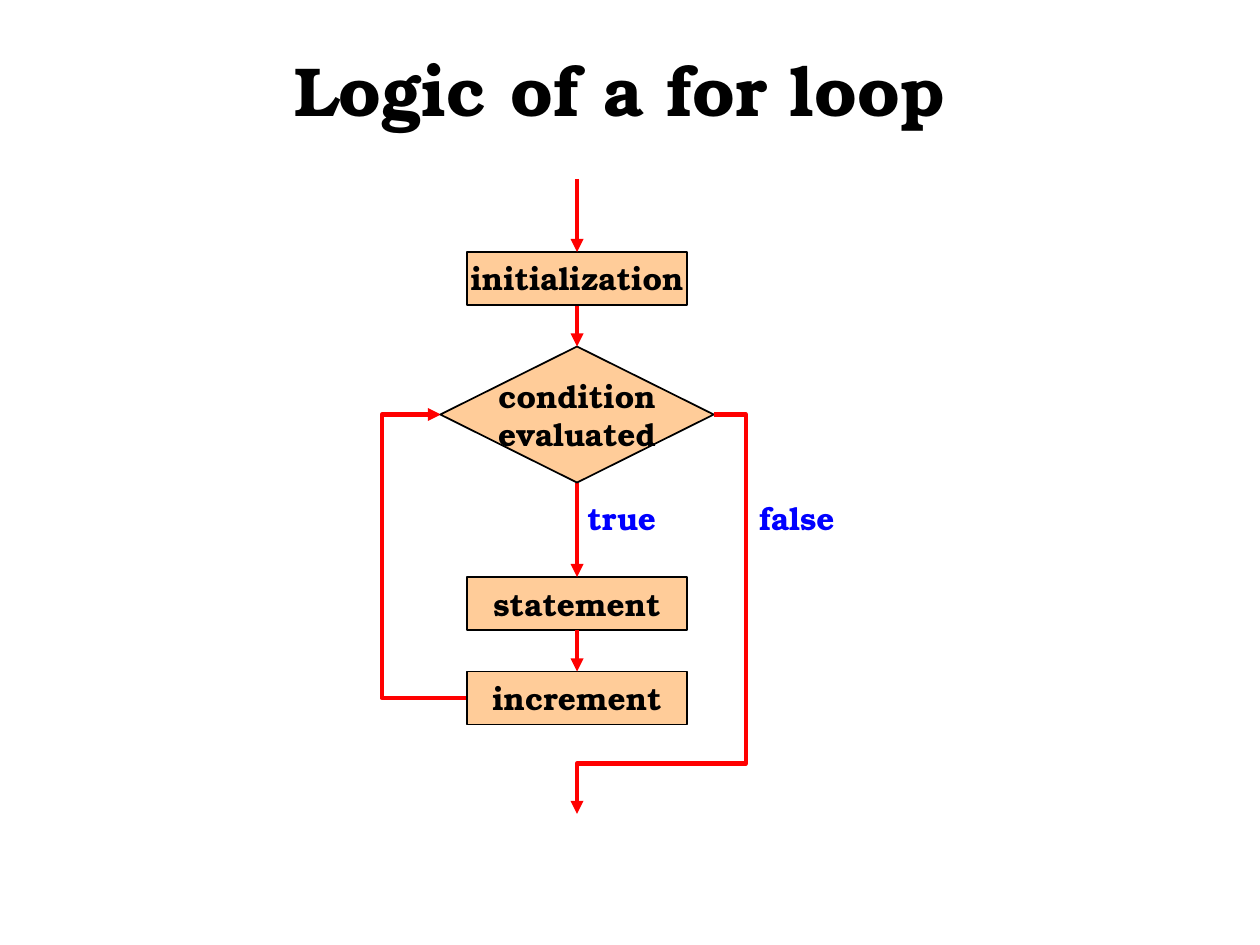
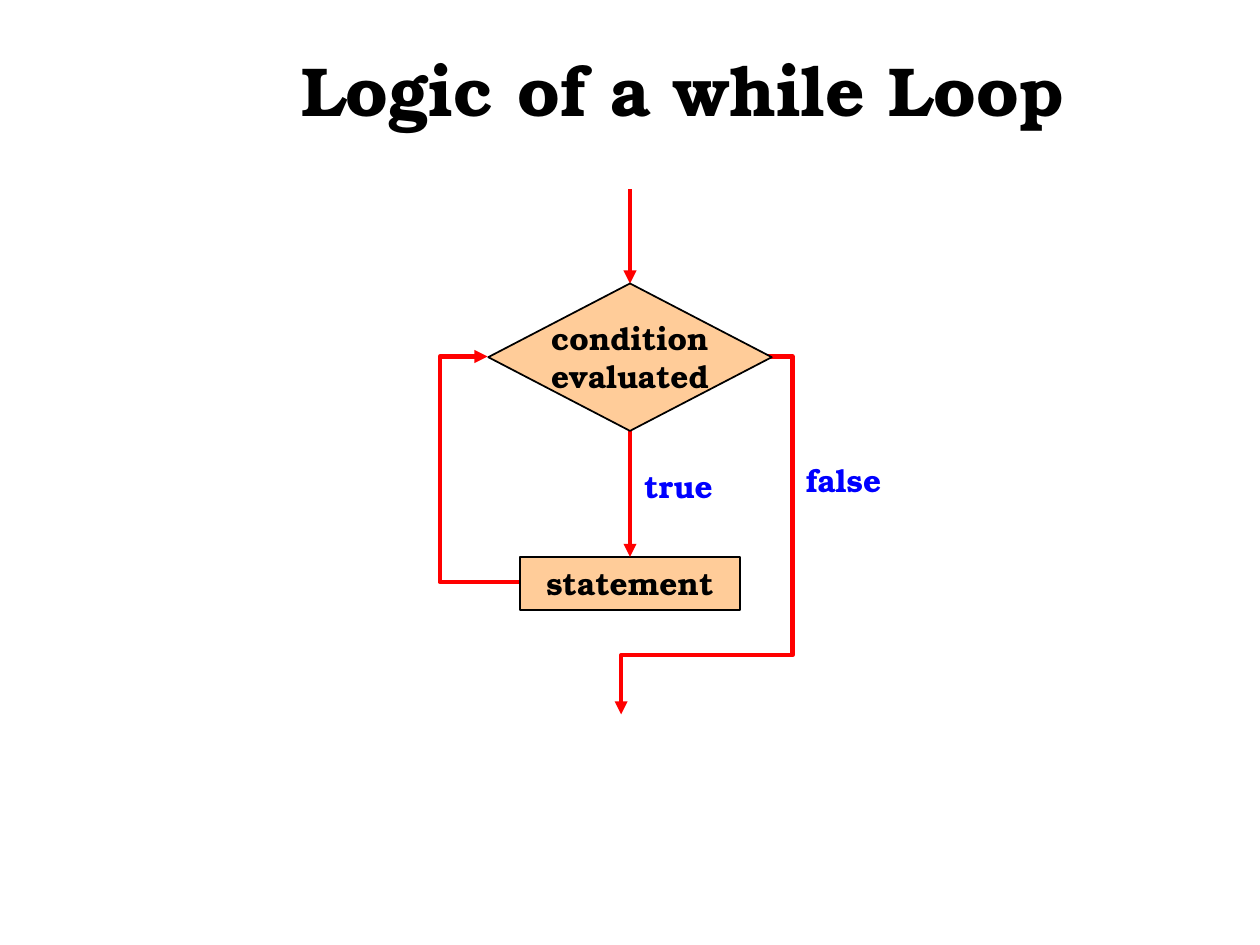
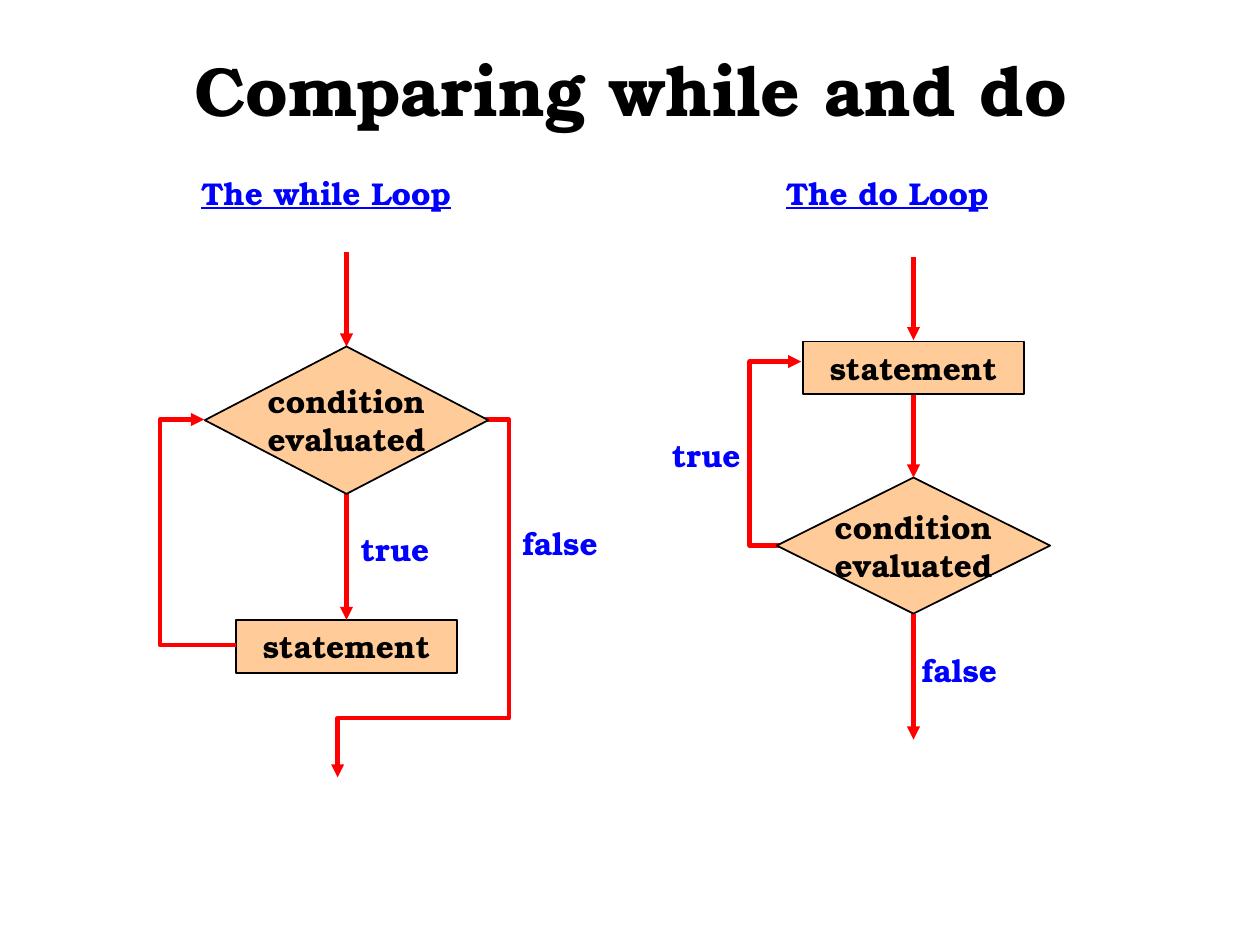
from lxml.etree import SubElement
from pptx import Presentation
from pptx.dml.color import RGBColor
from pptx.enum.shapes import MSO_CONNECTOR, MSO_SHAPE
from pptx.enum.text import MSO_ANCHOR, MSO_AUTO_SIZE, PP_ALIGN
from pptx.oxml.ns import qn
from pptx.util import Inches, Pt

FACE = "TeX Gyre Bonum"
BLACK, BLUE, RED, PEACH = "000000", "0000FF", "FF0000", "FFCC99"
WIDE = {
    "statement": 1.55, "increment": 1.56, "initialization": 1.91,
    "true": 0.75, "false": 0.81, "condition\nevaluated": 1.47,
    "The while Loop": 2.2, "The do Loop": 1.82,
}


def color(code):
    return RGBColor.from_string(code)


def style(run, size, code):
    run.font.name = FACE
    run.font.size = Pt(size)
    run.font.bold = True
    run.font.color.rgb = color(code)


def title(deck, words, left):
    slide = deck.slides.add_slide(deck.slide_layouts[5])
    head = slide.shapes.title
    head.left, head.top = Inches(left), Inches(0.33)
    head.width, head.height = Inches(8.67), Inches(0.75)
    frame = head.text_frame
    frame.auto_size = MSO_AUTO_SIZE.NONE
    frame.vertical_anchor = MSO_ANCHOR.MIDDLE
    para = frame.paragraphs[0]
    para.alignment = PP_ALIGN.CENTER
    run = para.add_run()
    run.text = words
    style(run, 39.6, BLACK)
    return slide


def label(slide, words, left, top, code=BLUE, head=False):
    lines = words.split("\n")
    high = 0.4 + 0.31 * (len(lines) - 1)
    box = slide.shapes.add_textbox(
        Inches(left), Inches(top), Inches(WIDE[words]), Inches(high))
    frame = box.text_frame
    frame.word_wrap = False
    frame.auto_size = MSO_AUTO_SIZE.SHAPE_TO_FIT_TEXT
    frame.vertical_anchor = MSO_ANCHOR.TOP if head else MSO_ANCHOR.MIDDLE
    for spot, line in enumerate(lines):
        para = frame.add_paragraph() if spot else frame.paragraphs[0]
        para.alignment = PP_ALIGN.LEFT if head else PP_ALIGN.CENTER
        run = para.add_run()
        run.text = line
        style(run, 18, code)
        if head:
            run.font.underline = True


def node(slide, kind, words, mid, top, wide, high):
    shape = slide.shapes.add_shape(
        kind, Inches(mid - wide / 2), Inches(top), Inches(wide), Inches(high))
    shape.shadow.inherit = False
    shape.fill.solid()
    shape.fill.fore_color.rgb = color(PEACH)
    shape.line.color.rgb = color(BLACK)
    shape.line.width = Pt(1)
    text = 0.4 + 0.31 * words.count("\n")
    label(slide, words, mid - WIDE[words] / 2, top + (high - text) / 2, BLACK)


def step(slide, words, mid, top):
    node(slide, MSO_SHAPE.RECTANGLE, words, mid, top, 1.75, 0.42)


def test(slide, mid, top, wide, high):
    node(slide, MSO_SHAPE.DIAMOND, "condition\nevaluated", mid, top, wide, high)


def link(slide, kind, start, end, tip="a:tailEnd"):
    wire = slide.shapes.add_connector(
        kind, *(Inches(value) for value in (*start, *end)))
    wire.line.color.rgb = color(RED)
    wire.line.width = Pt(2.5)
    props = wire.element.spPr
    SubElement(props.find(qn("a:ln")), qn(tip), type="triangle")
    SubElement(props, qn("a:effectLst"))
    return wire


def arrow(slide, x, top, low):
    link(slide, MSO_CONNECTOR.STRAIGHT, (x, top), (x, low))


def bend(slide, start, end, *turns, tip="a:tailEnd"):
    wire = link(slide, MSO_CONNECTOR.ELBOW, start, end, tip)
    shape = wire.element.spPr.find(qn("a:prstGeom"))
    shape.set("prst", f"bentConnector{len(turns) + 2}")
    guides = shape.find(qn("a:avLst"))
    if guides is None:
        guides = SubElement(shape, qn("a:avLst"))
    for spot, (turn, here, there) in enumerate(zip(turns, start, end), 1):
        ratio = round((turn - here) / (there - here) * 100000)
        SubElement(guides, qn("a:gd"), name=f"adj{spot}", fmla=f"val {ratio}")


def while_flow(slide, x, y, back):
    step(slide, "statement", x, y + 2.92)
    arrow(slide, x, y + 1.92, y + 2.92)
    label(slide, "true", x + 0.01, y + 2.16)
    bend(slide, (x - 0.88, y + 3.12), (x - 1.13, y + 1.33), back)
    bend(slide, (x + 1.04, y + 1.33), (x - 0.07, y + 4.17), x + 1.29, y + 3.7)
    label(slide, "false", x + 1.29, y + 2.11)
    arrow(slide, x, y, y + 0.75)
    test(slide, x, y + 0.75, 2.25, 1.17)


def do_flow(slide, x):
    label(slide, "true", 5.23, 3.41)
    bend(slide, (6.36, 2.87), (6.2, 4.33), 5.95, tip="a:headEnd")
    test(slide, x, 3.79, 2.17, 1.08)
    arrow(slide, x, 3.11, 3.79)
    arrow(slide, x, 2.04, 2.7)
    step(slide, "statement", x, 2.71)
    arrow(slide, x, 4.87, 5.87)
    label(slide, "false", 7.21, 5.12)


def for_flow(slide, x):
    step(slide, "statement", x, 4.58)
    arrow(slide, x, 3.83, 4.58)
    label(slide, "true", 4.56, 3.91)
    bend(slide, (3.71, 5.54), (3.5, 3.29), 3.03)
    test(slide, x, 2.75, 2.17, 1.08)
    arrow(slide, x, 2.4, 2.75)
    bend(slide, (5.67, 3.29), (x, 6.46), 5.92, 6.06)
    label(slide, "false", 5.92, 3.91)
    step(slide, "increment", x, 5.33)
    arrow(slide, x, 5, 5.33)
    step(slide, "initialization", x, 2)
    arrow(slide, x, 1.42, 2)


def main():
    deck = Presentation()
    deck.slide_width, deck.slide_height = Inches(10), Inches(7.5)
    for_flow(title(deck, "Logic of a for loop", 0.58), 4.58)
    while_flow(title(deck, "Logic of a while Loop", 1.08), 5, 1.5, 3.49)
    both = title(deck, "Comparing while and do", 0.67)
    while_flow(both, 2.75, 2, 1.27)
    label(both, "The while Loop", 1.5, 1.33, head=True)
    do_flow(both, 7.25)
    label(both, "The do Loop", 6.14, 1.33, head=True)
    deck.save("out.pptx")


main()
